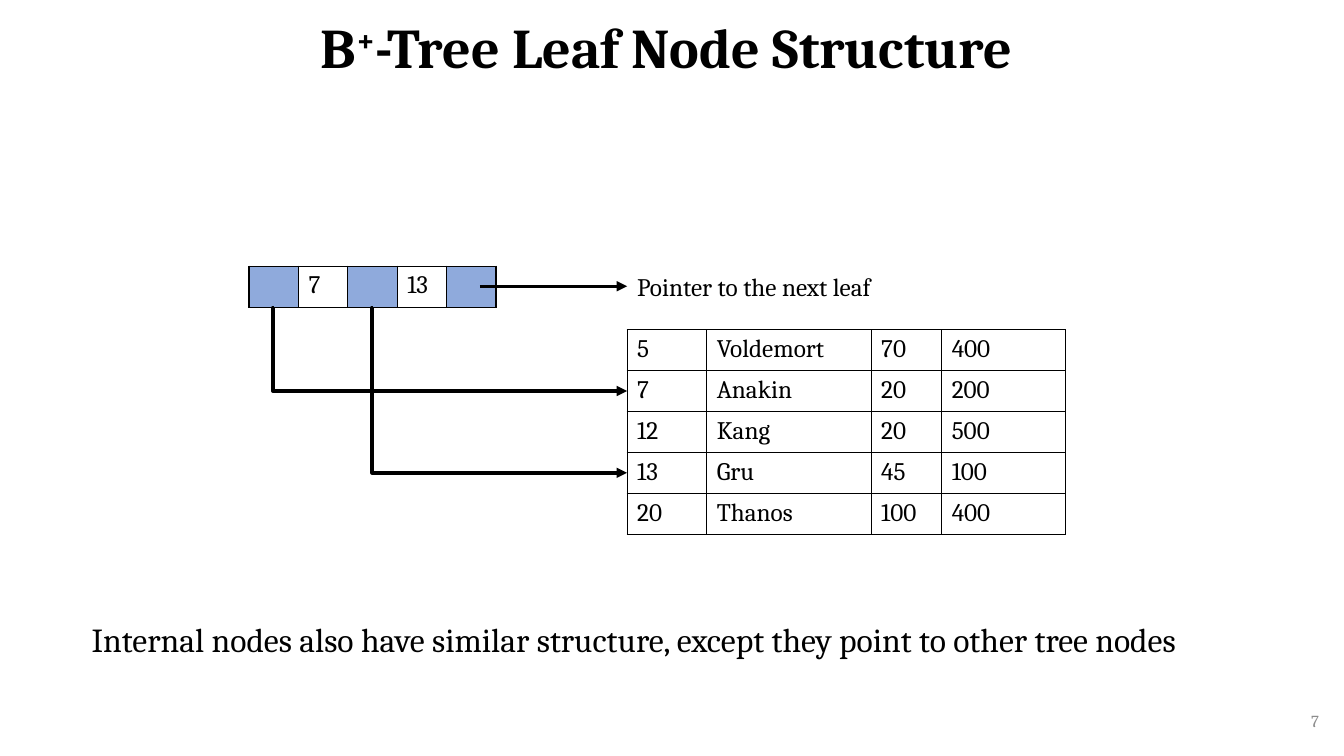
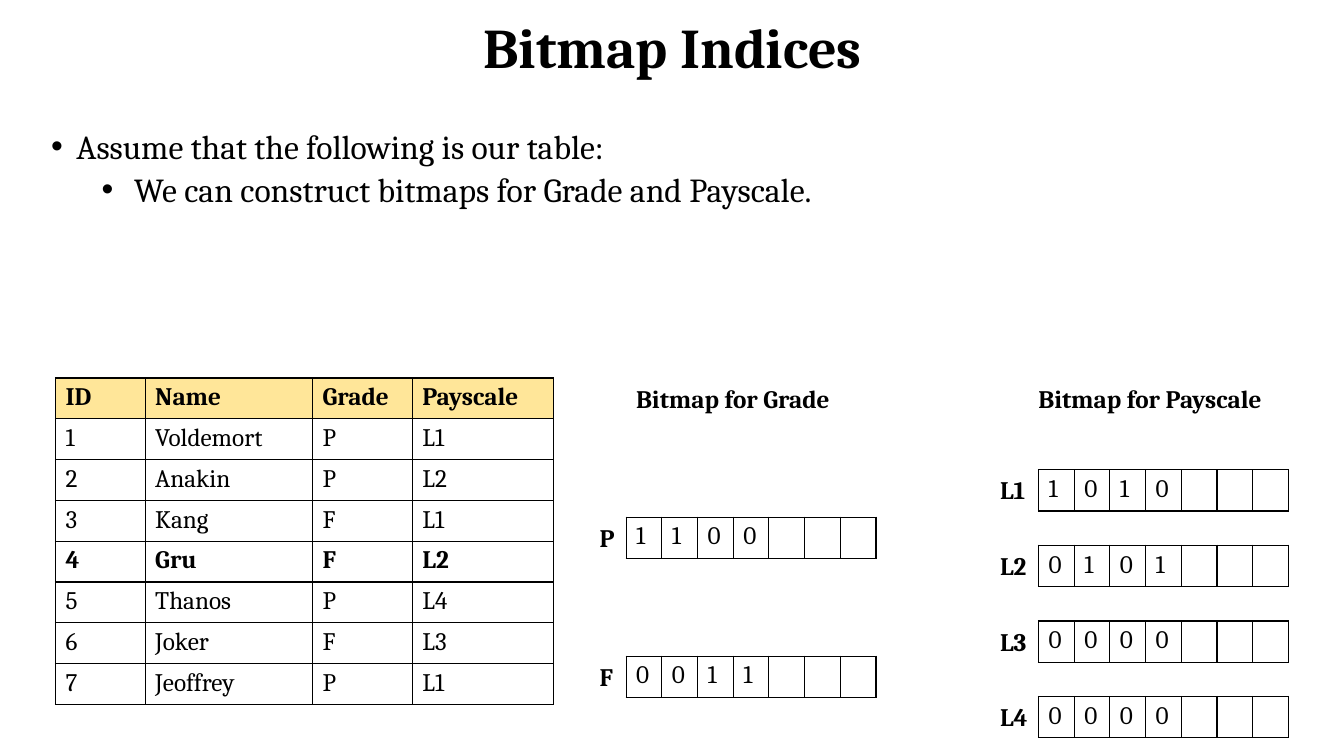
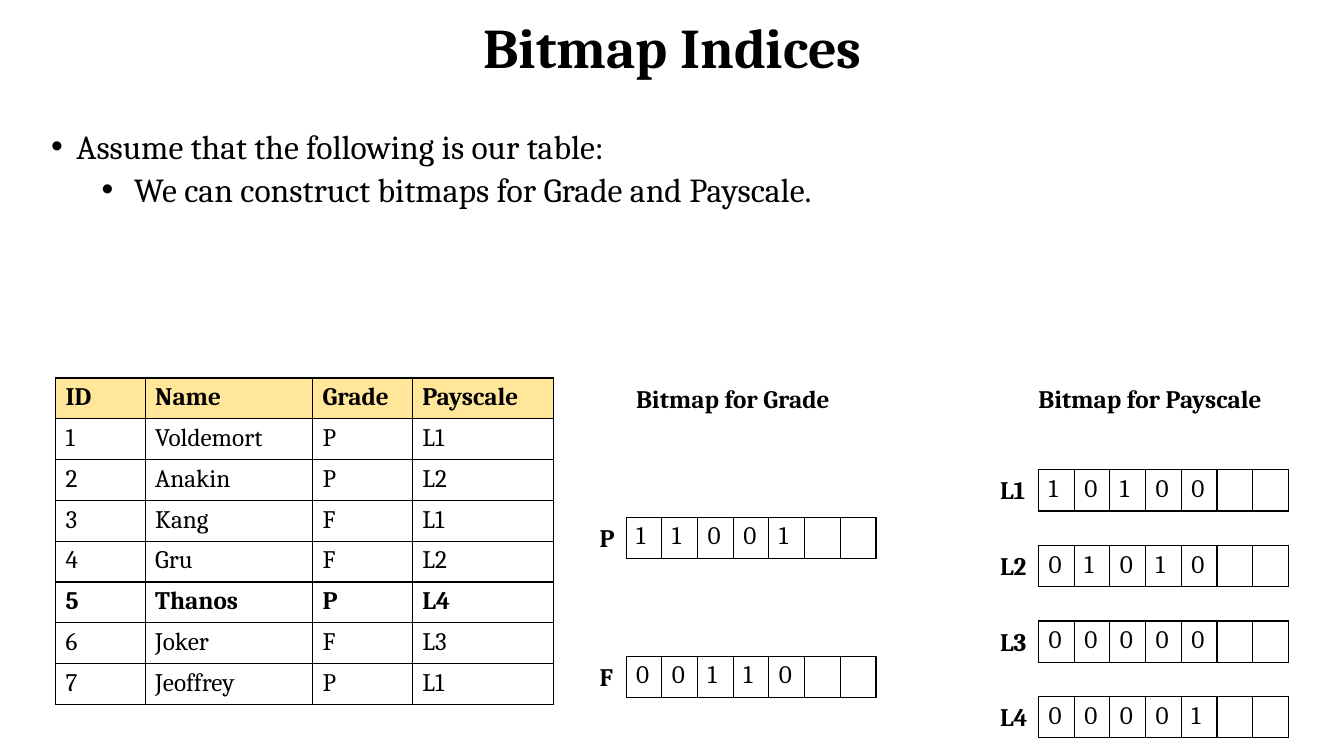
import pptx
import pptx.util
import pptx.dml.color
import pptx.enum.shapes
import pptx.enum.text
import pptx.oxml
import pptx.oxml.ns
import lxml.etree

PX = 9144  # 100 px to the inch
FONT = "Cambria"
INK = {"black": "000000", "grey": "8C8C8C", "white": "FFFFFF",
       "blue": "8FAADC", "gold": "FFE699"}
ALIGN = pptx.enum.text.PP_ALIGN
ANCHOR = pptx.enum.text.MSO_ANCHOR
FIT = pptx.enum.text.MSO_AUTO_SIZE
KIND = pptx.enum.shapes.MSO_CONNECTOR

HEROES = [
    (5, "Voldemort", 70, 400),
    (7, "Anakin", 20, 200),
    (12, "Kang", 20, 500),
    (13, "Gru", 45, 100),
    (20, "Thanos", 100, 400),
]
STAFF = [
    (1, "Voldemort", "P", "L1"),
    (2, "Anakin", "P", "L2"),
    (3, "Kang", "F", "L1"),
    (4, "Gru", "F", "L2"),
    (5, "Thanos", "P", "L4"),
    (6, "Joker", "F", "L3"),
    (7, "Jeoffrey", "P", "L1"),
]


def px(*nums):
    return [pptx.util.Emu(round(num * PX)) for num in nums]


def rgb(name):
    return pptx.dml.color.RGBColor.from_string(INK[name])


def node(parent, tag, **attrs):
    return lxml.etree.SubElement(parent, pptx.oxml.ns.qn(tag), attrs)


def write(para, text, size, bold=False, ink="black", base=0):
    run = para.add_run()
    run.text = text
    font = run.font
    font.name, font.size, font.bold = FONT, pptx.util.Pt(size), bold
    font.color.rgb = rgb(ink)
    if base:
        font._element.set("baseline", str(base * 1000))


def label(slide, box, text, size=18, bold=False):
    """One line of text in a box that fits it."""
    frame = slide.shapes.add_textbox(*px(*box)).text_frame
    frame.word_wrap = False
    frame.auto_size = FIT.SHAPE_TO_FIT_TEXT
    write(frame.paragraphs[0], text, size, bold)


def new_slide(deck, runs):
    """Title-only slide; runs are (text, raise in percent)."""
    slide = deck.slides.add_slide(deck.slide_layouts[5])
    title = slide.shapes.title
    title.left, title.top, title.width, title.height = px(92, 0, 1150, 99)
    frame = title.text_frame
    frame.auto_size = FIT.NONE
    frame.vertical_anchor = ANCHOR.MIDDLE
    para = frame.paragraphs[0]
    para.alignment, para.line_spacing = ALIGN.CENTER, 0.9
    for text, base in runs:
        write(para, text, 40, True, base=base)
    return slide


def page(slide, num):
    frame = slide.shapes.add_textbox(*px(1018, 695, 300, 40)).text_frame
    frame.word_wrap = True
    frame.vertical_anchor = ANCHOR.MIDDLE
    para = frame.paragraphs[0]
    para.alignment = ALIGN.RIGHT
    write(para, str(num), 12, ink="grey")


def style(cell, text, bold, ink):
    props = cell._tc.get_or_add_tcPr()
    for side in "LRTB":
        edge = node(props, "a:ln" + side, w="12700")
        node(node(edge, "a:solidFill"), "a:srgbClr", val=INK["black"])
    cell.fill.solid()
    cell.fill.fore_color.rgb = rgb(ink)
    if text != "":
        write(cell.text_frame.paragraphs[0], str(text), 18, bold)


def grid(slide, box, widths, rows, bold=(), fills=None):
    """Ruled table; bold lists rows, fills maps (row, column) to a colour."""
    fills = fills or {}
    table = slide.shapes.add_table(len(rows), len(widths), *px(*box)).table
    table.first_row = table.horz_banding = False
    for col, width in zip(table.columns, px(*widths)):
        col.width = width
    for r, row in enumerate(rows):
        table.rows[r].height = px(box[3] / len(rows))[0]
        for c, text in enumerate(row):
            style(table.cell(r, c), text, r in bold,
                  fills.get((r, c), "white"))


def arrow(slide, start, end, kind=KIND.STRAIGHT):
    line = slide.shapes.add_connector(kind, *px(*start, *end))
    line.line.color.rgb = rgb("black")
    line.line.width = pptx.util.Pt(2.5)
    props = line.element.spPr
    node(line.line._ln, "a:tailEnd", type="triangle")
    node(props, "a:effectLst")
    if kind == KIND.ELBOW:
        # Bend at the start: straight down, then right
        geom = props.find(pptx.oxml.ns.qn("a:prstGeom"))
        for old in list(geom):
            geom.remove(old)
        node(node(geom, "a:avLst"), "a:gd", name="adj1", fmla="val -200")


def bullets(slide, box, items):
    """Items are (text, indent, space before)."""
    frame = slide.shapes.add_textbox(*px(*box)).text_frame
    frame.word_wrap = True
    for i, (text, indent, gap) in enumerate(items):
        para = frame.add_paragraph() if i else frame.paragraphs[0]
        para.alignment, para.line_spacing = ALIGN.JUSTIFY, 0.9
        para.space_before = pptx.util.Pt(gap)
        props = para._p.get_or_add_pPr()
        props.set("marL", str(indent * PX))
        props.set("indent", str(-25 * PX))
        node(props, "a:buFont", typeface="Arial")
        node(props, "a:buChar", char="•")
        write(para, text, 24)


def leaf(slide, left, top):
    """Leaf node, its records and the pointers between them."""
    side, tall, row = 49, 41, 40.6
    data, under = left + 375, top + 63
    grid(slide, (data, under, 435, row * len(HEROES)),
         (79, 163, 70, 123), HEROES)
    grid(slide, (left, top, side * 5, tall), [side] * 5,
         [("", 7, "", 13, "")], fills={(0, c): "blue" for c in (0, 2, 4)})
    arrow(slide, (left + 229, top + 20), (data, top + 20))
    for cell, rec in ((0, 1), (2, 3)):
        arrow(slide, (left + side * (cell + 0.5), top + tall),
              (data, under + row * (rec + 0.5)), KIND.ELBOW)
    label(slide, (data, top, 272, 40), "Pointer to the next leaf")


def bitmaps(slide, left, top, step, keys, field, done):
    """One bit row a key, filled for the first done records."""
    for i, key in enumerate(keys):
        y = top + i * step
        bits = [int(rec[field] == key) for rec in STAFF[:done]]
        bits += [""] * (len(STAFF) - done)
        grid(slide, (left, y, 248, 41), [248 / len(bits)] * len(bits), [bits])
        wide = 36 if len(key) == 1 else 48
        label(slide, (left - wide, y, wide, 40), key, bold=True)


def bitmap_slide(deck, done):
    slide = new_slide(deck, [("Bitmap Indices", 0)])
    bullets(slide, (41, 124, 1250, 158), [
        ("Assume that the following is our table:", 25, 10),
        (" We can construct bitmaps for Grade and Payscale.", 75, 5),
    ])
    # Records, with the current one in bold
    head = ("ID", "Name", "Grade", "Payscale")
    grid(slide, (55, 375, 494, 324), (89, 166, 99, 140), [head] + STAFF,
         (0, done), {(0, c): "gold" for c in range(len(head))})
    # Bitmaps
    label(slide, (621, 375, 222, 40), "Bitmap for Grade", bold=True)
    bitmaps(slide, 621, 513, 138, ("P", "F"), 2, done)
    label(slide, (1020, 375, 249, 40), "Bitmap for Payscale", bold=True)
    bitmaps(slide, 1030, 466, 75, ("L1", "L2", "L3", "L4"), 3, done)


def leaf_slide(deck):
    slide = new_slide(deck, [("B", 0), ("+", 30),
                             ("-Tree Leaf Node Structure ", 0)])
    page(slide, 7)
    leaf(slide, 247, 264)
    label(slide, (81, 609, 1199, 50), "Internal nodes also have similar "
          "structure, except they point to other tree nodes", 24)


def main():
    deck = pptx.Presentation()
    deck.slide_width, deck.slide_height = px(1333, 750)
    leaf_slide(deck)
    for done in (4, 5):
        bitmap_slide(deck, done)
    deck.save("out.pptx")


if __name__ == "__main__":
    main()
